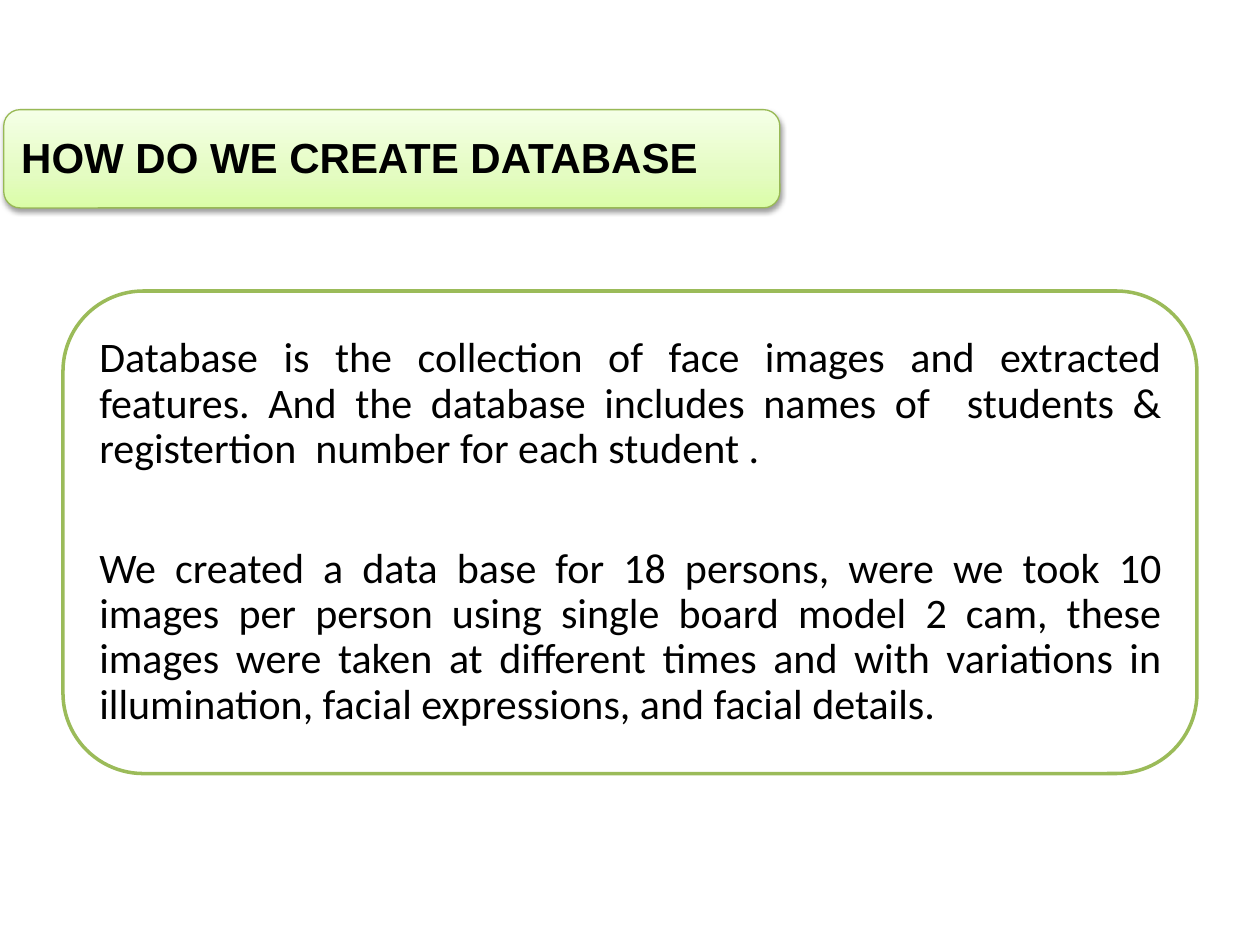
import copy
from dataclasses import dataclass

import pptx
import pptx.dml.color
import pptx.enum.shapes
import pptx.enum.text
import pptx.oxml
import pptx.oxml.ns
import pptx.util

Inches = pptx.util.Inches
Pt = pptx.util.Pt
RGB = pptx.dml.color.RGBColor.from_string
Align = pptx.enum.text.PP_ALIGN
qn = pptx.oxml.ns.qn


@dataclass(frozen=True)
class Theme:
    ink: str = "000000"
    paper: str = "FFFFFF"
    edge: str = "98B955"
    frame: str = "9BBB59"
    fade: tuple = ((0, "DAFDA7"), (0.35, "E4FCC2"), (1, "F5FFE7"))
    size: int = 24
    gap: float = 42.5
    head: str = "Arial"
    body: str = "Calibri"


THEME = Theme()
TITLE = "HOW DO WE CREATE DATABASE"
BODY = (
    "Database is the collection of face images and extracted features. "
    "And the database includes names of  students & registertion  number "
    "for each student .",
    "We created a data base for 18 persons, were we took 10 images per person "
    "using single board model 2 cam, these images were taken at different "
    "times and with variations in illumination, facial expressions, and "
    "facial details.",
)


def add_panel(slide, box, line, width):
    kind = pptx.enum.shapes.MSO_SHAPE.ROUNDED_RECTANGLE
    panel = slide.shapes.add_shape(kind, *map(Inches, box))
    panel.shadow.inherit = False
    panel.fill.solid()
    panel.fill.fore_color.rgb = RGB(THEME.paper)
    panel.line.color.rgb = RGB(line)
    panel.line.width = Pt(width)
    return panel


def add_fade(panel):
    """Fill the panel with the theme's three-stop gradient, running upward."""
    fill = panel.fill
    fill.gradient()
    fill.gradient_angle = 90
    stops = panel.element.spPr.find(".//" + qn("a:gsLst"))
    stops.insert(1, copy.deepcopy(stops[0]))
    for stop, (place, color) in zip(fill.gradient_stops, THEME.fade):
        stop.position = place
        stop.color.rgb = RGB(color)


def add_shade(panel):
    """Give the panel a soft shadow below it."""
    effects = panel.element.spPr.find(qn("a:effectLst"))
    effects.append(pptx.oxml.parse_xml(
        '<a:outerShdw xmlns:a="http://schemas.openxmlformats.org/drawingml/2006/main"'
        ' blurRad="40000" dist="20000" dir="5400000" rotWithShape="0">'
        f'<a:srgbClr val="{THEME.ink}"><a:alpha val="38000"/></a:srgbClr>'
        '</a:outerShdw>'))


def add_text(slide, box, texts, face, bold=False, align=Align.LEFT):
    frame = slide.shapes.add_textbox(*map(Inches, box)).text_frame
    inset = Inches(0.1)
    style = {
        "word_wrap": True,
        "vertical_anchor": pptx.enum.text.MSO_ANCHOR.MIDDLE,
        "margin_left": inset, "margin_right": inset,
        "margin_top": inset, "margin_bottom": inset,
    }
    for name, value in style.items():
        setattr(frame, name, value)
    for i, text in enumerate(texts):
        para = frame.paragraphs[0] if i == 0 else frame.add_paragraph()
        para.alignment = align
        para.line_spacing = 0.9
        if i:
            para.space_before = Pt(THEME.gap)
        run = para.add_run()
        run.text = text
        font = run.font
        for name, value in {"name": face, "size": Pt(THEME.size), "bold": bold}.items():
            setattr(font, name, value)
        font.color.rgb = RGB(THEME.ink)


def main():
    deck = pptx.Presentation()
    deck.slide_width, deck.slide_height = Inches(10), Inches(7.5)
    slide = deck.slides.add_slide(deck.slide_layouts[6])

    banner = add_panel(slide, (0.03, 0.87, 6.16, 0.78), THEME.edge, 0.75)
    add_fade(banner)
    add_shade(banner)
    add_text(slide, (0.07, 0.91, 6.09, 0.71), [TITLE], THEME.head, bold=True)

    add_panel(slide, (0.5, 2.31, 9, 3.83), THEME.frame, 2)
    add_text(slide, (0.69, 2.5, 8.63, 3.45), BODY, THEME.body, align=Align.JUSTIFY)

    deck.save("out.pptx")


if __name__ == "__main__":
    main()
